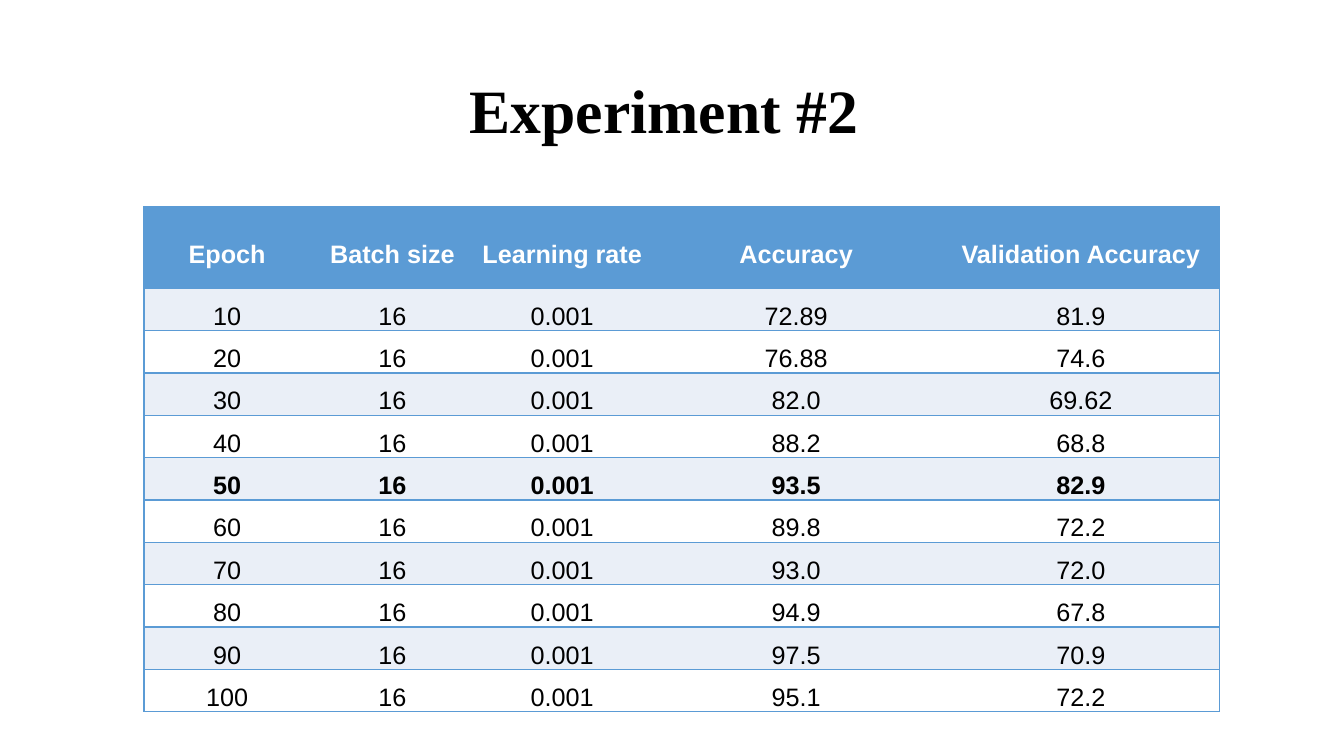
"""Build the Experiment #2 slide: a title over a table of training results."""
from lxml import etree
from pptx import Presentation
from pptx.dml.color import RGBColor
from pptx.enum import text
from pptx.oxml import ns
from pptx.util import Pt

COLORS = {"blue": "5B9BD5", "band": "EAEFF7", "white": "FFFFFF", "black": "000000"}
HEADERS = ["Epoch", "Batch size", "Learning rate", "Accuracy", "Validation Accuracy"]
ACCURACY = ["72.89", "76.88", "82.0", "88.2", "93.5", "89.8", "93.0", "94.9", "97.5", "95.1"]
VALIDATION = ["81.9", "74.6", "69.62", "68.8", "82.9", "72.2", "72.0", "67.8", "70.9", "72.2"]
COL_WIDTHS = [118.8, 117.36, 125.28, 208.8, 198]
HEADER_HEIGHT, ROW_HEIGHT = 58.32, 27.36
BEST_EPOCH = "50"


def write(tf, content, font="Arial", size=18, color="black", bold=False, spacing=1.5, after=5.3):
    tf.vertical_anchor = text.MSO_ANCHOR.MIDDLE
    p = tf.paragraphs[0]
    p.alignment = text.PP_ALIGN.CENTER
    p.line_spacing = spacing
    p.space_after = Pt(after)
    r = p.add_run()
    r.text = content
    r.font.name = font
    r.font.size = Pt(size)
    r.font.bold = bold
    r.font.color.rgb = RGBColor.from_string(COLORS[color])


def add_border(cell, side, visible):
    ln = etree.SubElement(cell._tc.get_or_add_tcPr(), ns.qn(f"a:ln{side}"), w=str(Pt(1)))
    if visible:
        fill = etree.SubElement(ln, ns.qn("a:solidFill"))
        etree.SubElement(fill, ns.qn("a:srgbClr"), val=COLORS["blue"])
    else:
        etree.SubElement(ln, ns.qn("a:noFill"))


prs = Presentation()
prs.slide_width, prs.slide_height = Pt(960), Pt(540)
s = prs.slides.add_slide(prs.slide_layouts[5])

title = s.shapes.title
title.left, title.top, title.width, title.height = Pt(66), Pt(28.75), Pt(828), Pt(104.4)
write(title.text_frame, "Experiment #2 ", font="Times New Roman", size=44, bold=True,
      spacing=0.9, after=0)

rows = [HEADERS]
for i, (accuracy, validation) in enumerate(zip(ACCURACY, VALIDATION), 1):
    rows.append([str(10 * i), "16", "0.001", accuracy, validation])

height = HEADER_HEIGHT + ROW_HEIGHT * len(ACCURACY)
table = s.shapes.add_table(len(rows), len(HEADERS), Pt(102.8), Pt(147.6),
                           Pt(sum(COL_WIDTHS)), Pt(height)).table
for column, width in zip(table.columns, COL_WIDTHS):
    column.width = Pt(width)

last = len(HEADERS) - 1
for i, values in enumerate(rows):
    header = i == 0
    table.rows[i].height = Pt(HEADER_HEIGHT if header else ROW_HEIGHT)
    fill = "blue" if header else "band" if i % 2 else "white"
    for j, value in enumerate(values):
        cell = table.cell(i, j)
        cell.margin_left = cell.margin_right = Pt(5)
        cell.margin_top = cell.margin_bottom = Pt(0)
        cell.vertical_anchor = text.MSO_ANCHOR.MIDDLE
        for side, visible in (("L", j == 0), ("R", j == last), ("T", True), ("B", True)):
            add_border(cell, side, visible)
        cell.fill.solid()
        cell.fill.fore_color.rgb = RGBColor.from_string(COLORS[fill])
        write(cell.text_frame, value, color="white" if header else "black",
              bold=header or values[0] == BEST_EPOCH)

prs.save("out.pptx")
